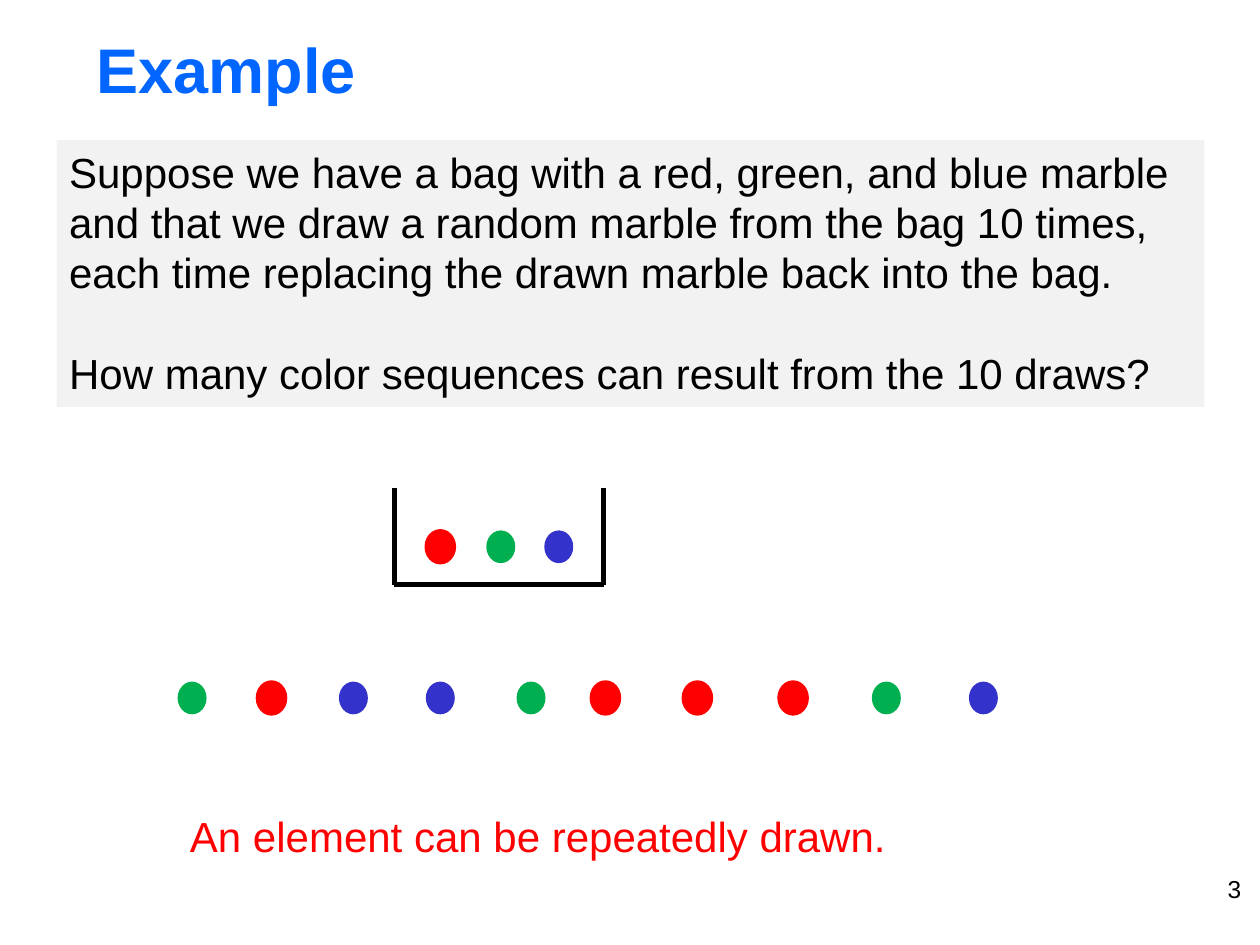
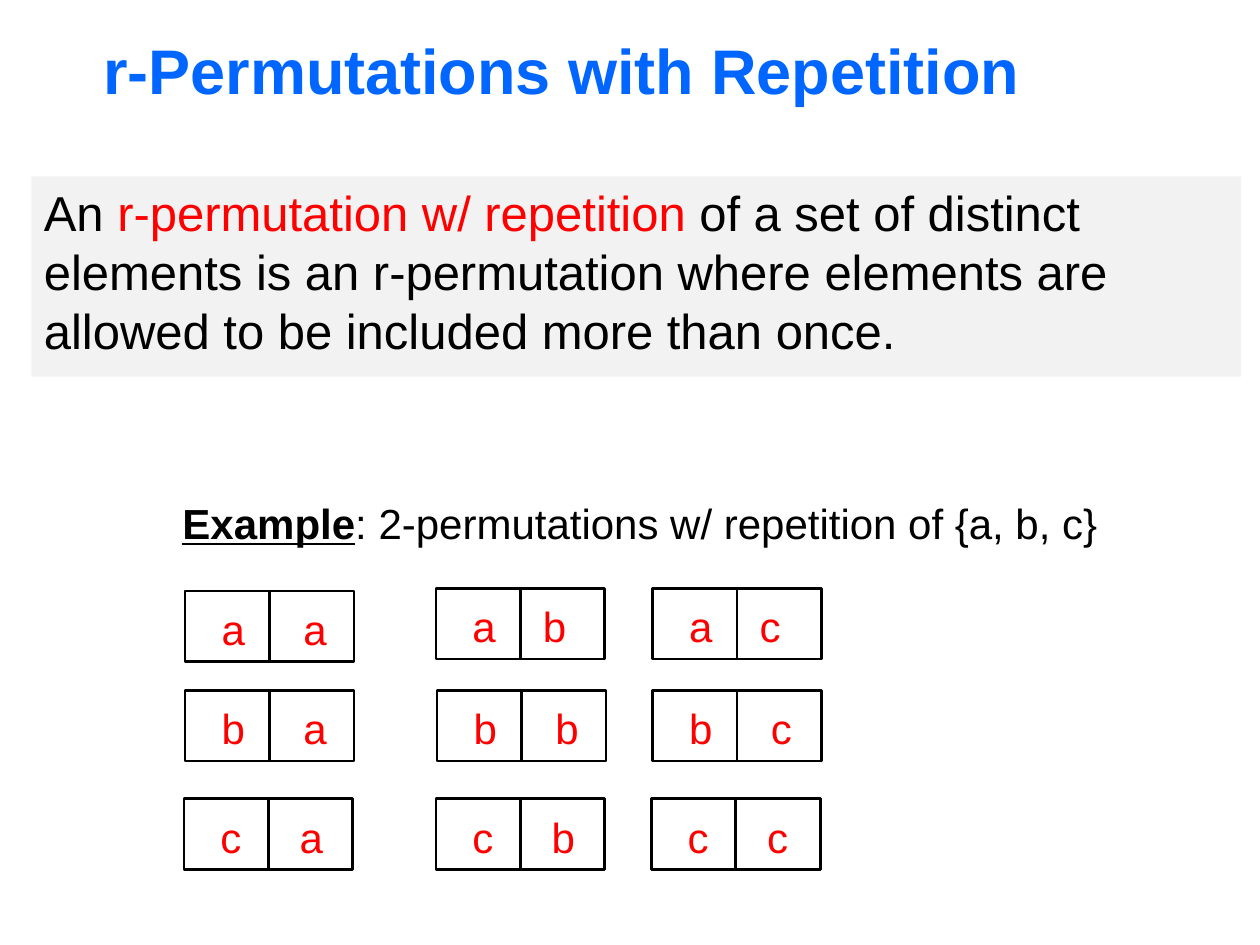
from lxml import etree
from pptx import Presentation
from pptx.dml.color import RGBColor
from pptx.enum import shapes, text
from pptx.oxml import ns
from pptx.util import Inches, Pt

FONT = "Arial"
BLACK = RGBColor(0x00, 0x00, 0x00)
TITLE_BLUE = RGBColor(0x00, 0x66, 0xFF)
PANEL_GRAY = RGBColor(0xF2, 0xF2, 0xF2)
RED = RGBColor(0xFF, 0x00, 0x00)
GREEN = RGBColor(0x00, 0xB0, 0x50)
BLUE = RGBColor(0x33, 0x33, 0xCC)

MARBLE_WIDTH, MARBLE_HEIGHT = 0.23, 0.26
CELL_WIDTH, CELL_HEIGHT = 0.67, 0.56
WIDE_TAB, NARROW_TAB = 0.65, 0.56

BAG_MARBLES = [(0.25, RED), (0.73, GREEN), (1.19, BLUE)]
DRAWN_MARBLES = [
    (0, GREEN), (0.63, RED), (1.28, BLUE), (1.97, BLUE), (2.69, GREEN),
    (3.28, RED), (4.01, RED), (4.77, RED), (5.51, GREEN), (6.28, BLUE),
]
# Each row: top, then (left, letters, tab) for every pair
PAIR_ROWS = [
    (0, [(0.01, "aa", WIDE_TAB), (2, "ab", NARROW_TAB), (3.72, "ac", NARROW_TAB)]),
    (0.81, [(0.01, "ba", WIDE_TAB), (2.01, "bb", WIDE_TAB), (3.72, "bc", WIDE_TAB)]),
    (1.67, [(0, "ca", 0.63), (2, "cb", 0.63), (3.71, "cc", 0.63)]),
]


def inches(*lengths):
    return [Inches(length) for length in lengths]


def write(shape, paragraphs, size, color=BLACK, align=text.PP_ALIGN.LEFT):
    """Fill a shape with paragraphs, each a list of (text, run format) pairs."""
    frame = shape.text_frame
    frame.word_wrap = True
    for index, runs in enumerate(paragraphs):
        paragraph = frame.add_paragraph() if index else frame.paragraphs[0]
        paragraph.alignment = align
        for wording, style in runs:
            run = paragraph.add_run()
            run.text = wording
            run.font.name = FONT
            run.font.size = Pt(size)
            run.font.color.rgb = style.get("color", color)
            run.font.bold = style.get("bold", False)
            run.font.underline = style.get("underline", False)
    return frame


def add_text(slide, box, paragraphs, size, **options):
    return write(slide.shapes.add_textbox(*inches(*box)), paragraphs, size, **options)


def add_title(slide, left, top, wording):
    frame = add_text(slide, (left, top, 8.5, 0.68), [[(wording, {"bold": True})]],
                     36, color=TITLE_BLUE)
    frame.vertical_anchor = text.MSO_ANCHOR.MIDDLE


def add_preset(slide, kind, box, fill=None, line=None):
    shape = slide.shapes.add_shape(kind, *inches(*box))
    shape.shadow.inherit = False
    if fill is None:
        shape.fill.background()
    else:
        shape.fill.solid()
        shape.fill.fore_color.rgb = fill
    if line is None:
        shape.line.fill.background()
    else:
        shape.line.color.rgb = line
        shape.line.width = Pt(1.5)
    return shape


def add_panel(slide, box, paragraphs, size):
    panel = add_preset(slide, shapes.MSO_SHAPE.RECTANGLE, box, fill=PANEL_GRAY)
    frame = write(panel, paragraphs, size)
    frame.vertical_anchor = text.MSO_ANCHOR.TOP
    return frame


def add_marbles(slide, left, top, marbles):
    for offset, color in marbles:
        add_preset(slide, shapes.MSO_SHAPE.OVAL,
                   (left + offset, top, MARBLE_WIDTH, MARBLE_HEIGHT),
                   fill=color, line=RED if color == RED else None)


def add_bag(slide, left, top, width, height):
    right, bottom = left + width, top + height
    corners = [(left, top), (left, bottom), (right, bottom), (right, top)]
    for start, end in zip(corners, corners[1:]):
        side = slide.shapes.add_connector(shapes.MSO_CONNECTOR.STRAIGHT,
                                          *inches(*start, *end))
        side.line.color.rgb = BLACK
        side.line.width = Pt(3)
        etree.SubElement(side._element.spPr, ns.qn("a:effectLst"))
    add_marbles(slide, left, top + 0.34, BAG_MARBLES)


def add_pair(slide, left, top, letters, tab):
    """Two adjoining cells with a letter in each, the second set at a tab stop."""
    for column in range(2):
        add_preset(slide, shapes.MSO_SHAPE.RECTANGLE,
                   (left + column * CELL_WIDTH, top, CELL_WIDTH, CELL_HEIGHT), line=BLACK)
    frame = add_text(slide, (left + 0.19, top + 0.05, 1.32, 0.5),
                     [[("\t".join(letters), {})]], 24, color=RED)
    properties = frame.paragraphs[0]._p.get_or_add_pPr()
    tabs = etree.SubElement(properties, ns.qn("a:tabLst"))
    etree.SubElement(tabs, ns.qn("a:tab"), pos=str(Inches(tab)), algn="l")


def add_pair_grid(slide, left, top):
    for row_top, pairs in PAIR_ROWS:
        for pair_left, letters, tab in pairs:
            # The first pair stands slightly lower than its row
            drop = 0.02 if letters == "aa" else 0
            add_pair(slide, left + pair_left, top + row_top + drop, letters, tab)


def build_marble_slide(slide):
    add_text(slide, (7.62, 6.89, 2.33, 0.52), [[("3", {})]], 14,
             align=text.PP_ALIGN.RIGHT)
    add_title(slide, 0.67, 0.2, "Example")
    question = [
        "Suppose we have a bag with a red, green, and blue marble",
        "and that we draw a random marble from the bag 10 times,",
        "each time replacing the drawn marble back into the bag.",
        "How many color sequences can result from the 10 draws?",
    ]
    frame = add_panel(slide, (0.45, 1.11, 9.11, 2.12),
                      [[(line, {})] for line in question], 24)
    frame.paragraphs[-1].space_before = Pt(28.8)
    add_bag(slide, 3.13, 3.87, 1.66, 0.77)
    add_marbles(slide, 1.41, 5.41, DRAWN_MARBLES)
    add_text(slide, (1.41, 6.38, 5.87, 0.5),
             [[("An element can be repeatedly drawn.", {})]], 24, color=RED)


def build_permutation_slide(slide):
    add_title(slide, 0.72, 0.21, "r-Permutations with Repetition")
    definition = [
        ("An ", {}),
        ("r-permutation w/ repetition ", {"color": RED}),
        ("of a set of distinct elements is an r-permutation where elements are "
         "allowed to be included more than once.", {}),
    ]
    add_panel(slide, (0.25, 1.4, 9.6, 1.59), [definition], 28)
    example = [
        ("Example", {"bold": True, "underline": True}),
        (": 2-permutations w/ repetition of {a, b, c}", {}),
    ]
    add_text(slide, (1.35, 3.9, 7.54, 0.5), [example], 24)
    add_pair_grid(slide, 1.46, 4.67)


def main():
    presentation = Presentation()
    presentation.slide_width, presentation.slide_height = inches(10, 7.5)
    blank = presentation.slide_layouts[6]
    for build in (build_marble_slide, build_permutation_slide):
        build(presentation.slides.add_slide(blank))
    presentation.save("out.pptx")


if __name__ == "__main__":
    main()
